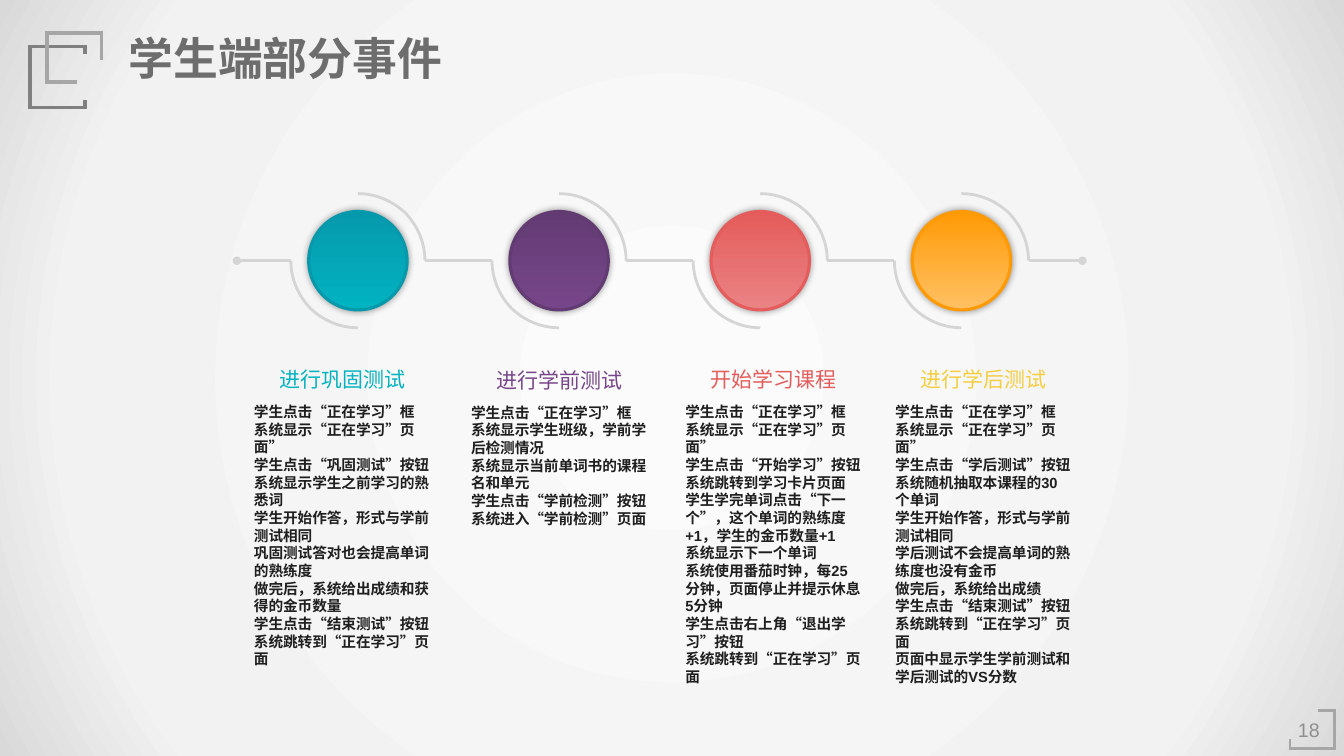
from lxml.etree import SubElement
from pptx import Presentation
from pptx.dml.color import RGBColor
from pptx.enum.shapes import MSO_CONNECTOR, MSO_SHAPE
from pptx.enum.text import MSO_ANCHOR as Anchor, MSO_AUTO_SIZE as AutoSize, PP_ALIGN as Align
from pptx.oxml import parse_xml
from pptx.oxml.ns import nsdecls, qn
from pptx.util import Cm, Pt

# Content
TITLE = "学生端部分事件"
PAGE_NUMBER = "18 "
STAGES = [
    {"name": "进行巩固测试", "color": "02B3C1", "ball": ("0699AC", "02B3C1"), "left": 6.4, "drop": 0,
     "steps": ["学生点击“正在学习”框", "系统显示“正在学习”页面”", "学生点击“巩固测试”按钮",
               "系统显示学生之前学习的熟悉词", "学生开始作答，形式与学前测试相同",
               "巩固测试答对也会提高单词的熟练度", "做完后，系统给出成绩和获得的金币数量",
               "学生点击“结束测试”按钮", "系统跳转到“正在学习”页面"]},
    {"name": "进行学前测试", "color": "77468A", "ball": ("633B73", "77468A"), "left": 11.87, "drop": 0.02,
     "steps": ["学生点击“正在学习”框", "系统显示学生班级，学前学后检测情况",
               "系统显示当前单词书的课程名和单元", "学生点击“学前检测”按钮",
               "系统进入“学前检测”页面"]},
    {"name": "开始学习课程", "color": "E45C5B", "ball": ("E45C5B", "EA8384"), "left": 17.27, "drop": 0,
     "steps": ["学生点击“正在学习”框", "系统显示“正在学习”页面”", "学生点击“开始学习”按钮",
               "系统跳转到学习卡片页面",
               "学生学完单词点击“下一个”，这个单词的熟练度+1，学生的金币数量+1",
               "系统显示下一个单词", "系统使用番茄时钟，每25分钟，页面停止并提示休息5分钟",
               "学生点击右上角“退出学习”按钮", "系统跳转到“正在学习”页面"]},
    {"name": "进行学后测试", "color": "F4CE3F", "ball": ("FF9A05", "FFC165"), "left": 22.56, "drop": 0,
     "steps": ["学生点击“正在学习”框", "系统显示“正在学习”页面”", "学生点击“学后测试”按钮",
               "系统随机抽取本课程的30个单词", "学生开始作答，形式与学前测试相同",
               "学后测试不会提高单词的熟练度也没有金币", "做完后，系统给出成绩",
               "学生点击“结束测试”按钮", "系统跳转到“正在学习”页面",
               "页面中显示学生学前测试和学后测试的VS分数"]},
]
# Corner brackets: colour, width in points, corners in cm
BRACKETS = [
    ("808080", 2.5, [(2.14, 1.37), (2.14, 1.17), (0.76, 1.17), (0.76, 2.71), (2.14, 2.71), (2.14, 2.53)]),
    ("A6A6A6", 2.5, [(2.56, 1.52), (2.56, 0.83), (1.19, 0.83), (1.19, 2.07), (1.93, 2.07)]),
    ("A6A6A6", 2, [(32.51, 18.62), (32.51, 18.87), (33.63, 18.87), (33.63, 17.91), (33.22, 17.91)]),
]

THEME = {
    "latin": "Arial", "chinese": "Noto Sans CJK SC",
    "title": "6D6D6D", "body": "1F1F1F", "number": "8F8F8F", "track": "D5D5D5",
    "backdrop": [(0, "FBFBFB"), (79, "F2F2F2"), (100, "D9D9D9")],
    "title_size": 32, "name_size": 15, "step_size": 10.5, "number_size": 14,
    "leading": 1.2, "track_width": 2, "ball_line": 2.25,
}

# Timeline geometry in cm
WIDTH, HEIGHT = 33.87, 19.05
FIRST_X, PITCH, TRACK_Y = 9.02, 5.07, 6.57
BALL, ARC_RADIUS = 2.48, 1.69
TRACK_START, TRACK_END = 5.97, 27.28
NAME_TOP, STEPS_TOP, COLUMN_WIDTH = 9.11, 10.15, 4.45
# Quarter circle of radius 1 as two Bezier curves, from the track to the circle's far side
QUARTER = [(1, 0), (1, 0.27), (0.89, 0.52), (0.71, 0.71), (0.52, 0.89), (0.27, 1), (0, 1)]

presentation = Presentation()
presentation.slide_width, presentation.slide_height = Cm(WIDTH), Cm(HEIGHT)
# The comparison layout has a title and four bodies
slide = presentation.slides.add_slide(presentation.slide_layouts[4])
shapes = slide.shapes


def place(shape, left, top, width, height):
    shape.left, shape.top, shape.width, shape.height = Cm(left), Cm(top), Cm(width), Cm(height)


def write(shape, lines, *, size, color, font=THEME["latin"], bold=False, align=Align.LEFT,
          anchor=Anchor.TOP, wrap=True, margins=(0.25, 0.13)):
    frame = shape.text_frame
    frame.word_wrap, frame.auto_size, frame.vertical_anchor = wrap, AutoSize.NONE, anchor
    frame.margin_left = frame.margin_right = Cm(margins[0])
    frame.margin_top = frame.margin_bottom = Cm(margins[1])
    frame.text = "\n".join(lines)
    for paragraph in frame.paragraphs:
        paragraph.alignment = align
        paragraph.space_before = paragraph.space_after = Pt(0)
        paragraph.line_spacing = Pt(size * THEME["leading"])
        properties = paragraph._p.get_or_add_pPr()
        properties.set("marL", "0")
        properties.set("indent", "0")
        SubElement(properties, qn("a:buNone"))
        for run in paragraph.runs:
            run.font.size, run.font.bold, run.font.name = Pt(size), bold, font
            run.font.color.rgb = RGBColor.from_string(color)
            run_properties = run._r.get_or_add_rPr()
            run_properties.set("lang", "zh-CN")
            SubElement(run_properties, qn("a:ea")).set("typeface", THEME["chinese"])


def paint_gradient(shape, stops, direction):
    stop_xml = "".join(f'<a:gs pos="{position * 1000}"><a:srgbClr val="{color}"/></a:gs>'
                       for position, color in stops)
    gradient = parse_xml(f'<a:gradFill {nsdecls("a")} rotWithShape="1">'
                         f'<a:gsLst>{stop_xml}</a:gsLst>{direction}</a:gradFill>')
    shape.fill.background()
    properties = shape._element.spPr
    properties.replace(properties.find(qn("a:noFill")), gradient)


def style_line(shape, color, width):
    shape.line.color.rgb = RGBColor.from_string(color)
    shape.line.width = Pt(width)


def draw_outline(points, color, width):
    corners = [(Cm(x), Cm(y)) for x, y in points]
    builder = shapes.build_freeform(*corners[0])
    builder.add_line_segments(corners[1:], close=False)
    outline = builder.convert_to_shape()
    outline.fill.background()
    outline.shadow.inherit = False
    style_line(outline, color, width)
    SubElement(outline.line._get_or_add_ln(), qn("a:miter")).set("lim", "800000")
    return outline


def draw_arc(center_x, side):
    arc = draw_outline([(center_x + side * ARC_RADIUS * x, TRACK_Y - side * ARC_RADIUS * y)
                        for x, y in QUARTER], THEME["track"], THEME["track_width"])
    # Every three segments become one Bezier curve
    segments = list(arc._element.iter(qn("a:lnTo")))
    for first in range(0, len(segments), 3):
        curve = parse_xml(f'<a:cubicBezTo {nsdecls("a")}/>')
        segments[first].addprevious(curve)
        for segment in segments[first:first + 3]:
            curve.append(segment[0])
            segment.getparent().remove(segment)


def draw_track(start, end, oval_end=None):
    track = shapes.add_connector(MSO_CONNECTOR.STRAIGHT, Cm(start), Cm(TRACK_Y), Cm(end), Cm(TRACK_Y))
    style_line(track, THEME["track"], THEME["track_width"])
    if oval_end:
        SubElement(track.line._get_or_add_ln(), qn(oval_end)).set("type", "oval")
    SubElement(track._element.spPr, qn("a:effectLst"))


# Backdrop, behind the placeholders
backdrop = shapes.add_shape(MSO_SHAPE.RECTANGLE, 0, 0, Cm(WIDTH), Cm(HEIGHT))
paint_gradient(backdrop, THEME["backdrop"],
               '<a:path path="circle"><a:fillToRect l="50000" t="50000" r="50000" b="50000"/></a:path>')
backdrop.line.fill.background()
backdrop.shadow.inherit = False
shapes._spTree.insert(2, backdrop._element)

# Corner brackets, title and page number
for color, width, points in BRACKETS:
    draw_outline(points, color, width)
place(shapes.title, 2.99, 0.64, 8.48, 1.63)
write(shapes.title, [TITLE], size=THEME["title_size"], color=THEME["title"], bold=True, wrap=False)
number = shapes.add_textbox(Cm(32.51), Cm(17.99), Cm(1.09), Cm(0.79))
write(number, [PAGE_NUMBER], size=THEME["number_size"], color=THEME["number"], align=Align.CENTER,
      anchor=Anchor.MIDDLE, margins=(0.18, 0.1))

# Timeline track
centers = [FIRST_X + PITCH * index for index in range(len(STAGES))]
starts = [TRACK_START] + [center + ARC_RADIUS for center in centers]
ends = [center - ARC_RADIUS for center in centers] + [TRACK_END]
ovals = ["a:headEnd"] + [None] * (len(STAGES) - 1) + ["a:tailEnd"]
for start, end, oval in zip(starts, ends, ovals):
    draw_track(start, end, oval)

# Stages: ball with its arcs, name and steps
bodies = [item for item in slide.placeholders if item.placeholder_format.idx in (1, 2, 3, 4)]
for stage, center, body in zip(STAGES, centers, bodies):
    for side in (-1, 1):
        draw_arc(center, side)
    ball = shapes.add_shape(MSO_SHAPE.OVAL, Cm(center - BALL / 2), Cm(TRACK_Y - BALL / 2), Cm(BALL), Cm(BALL))
    paint_gradient(ball, list(zip((0, 100), stage["ball"])), '<a:lin ang="5400000" scaled="0"/>')
    style_line(ball, stage["ball"][0], THEME["ball_line"])
    ball.shadow.inherit = False
    ball._element.spPr.find(qn("a:effectLst")).append(parse_xml(
        f'<a:outerShdw {nsdecls("a")} blurRad="{Pt(5)}" dist="0" dir="0">'
        '<a:srgbClr val="000000"><a:alpha val="40000"/></a:srgbClr></a:outerShdw>'))

    left, drop = stage["left"], stage["drop"]
    name = shapes.add_textbox(Cm(left + 0.37), Cm(NAME_TOP + drop), Cm(COLUMN_WIDTH - 0.74), Cm(0.89))
    write(name, [stage["name"]], size=THEME["name_size"], color=stage["color"], font=THEME["chinese"],
          align=Align.CENTER, wrap=False)
    place(body, left, STEPS_TOP + drop, COLUMN_WIDTH, 2.74)
    write(body, stage["steps"], size=THEME["step_size"], color=THEME["body"], bold=True, margins=(0, 0))

presentation.save("out.pptx")
